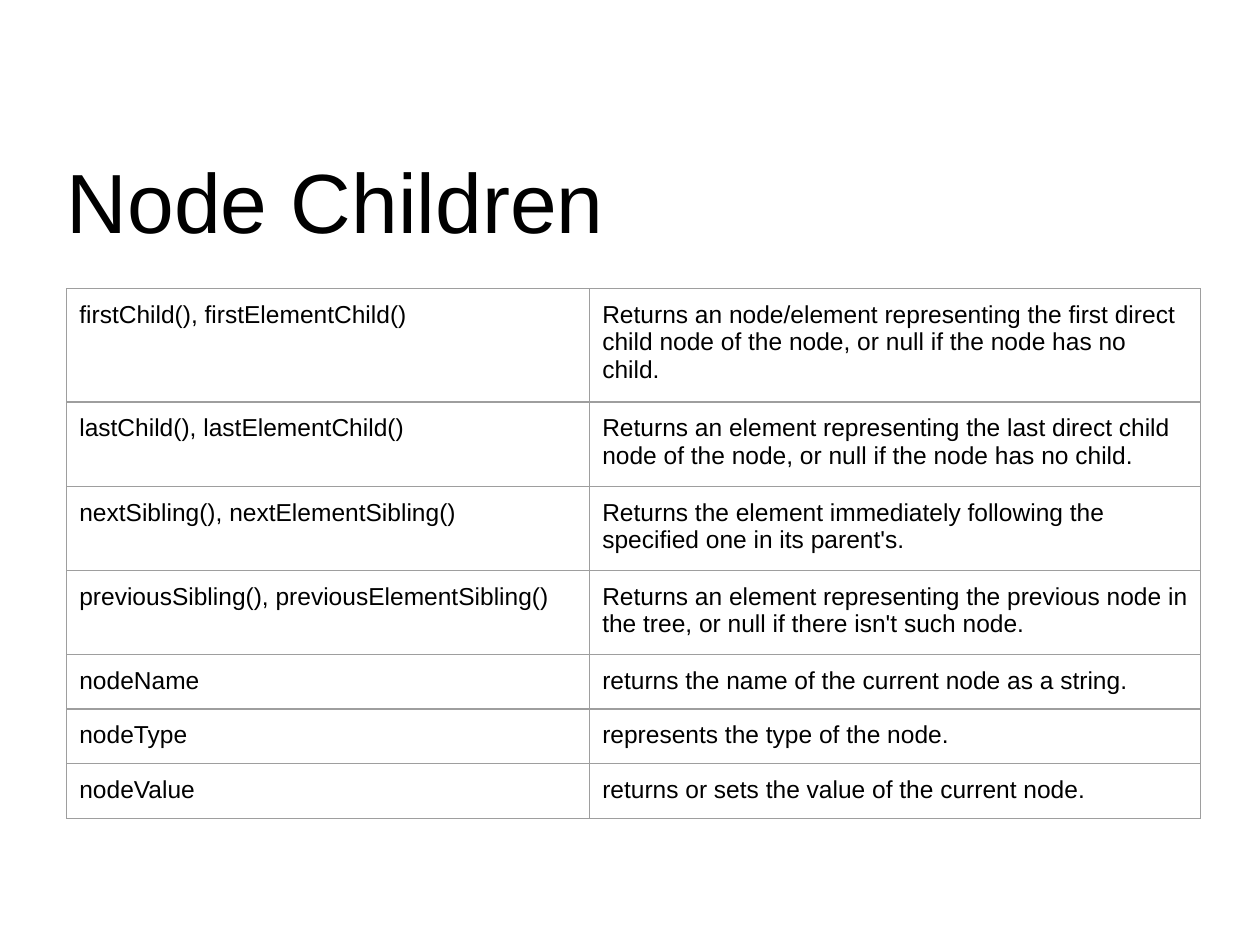
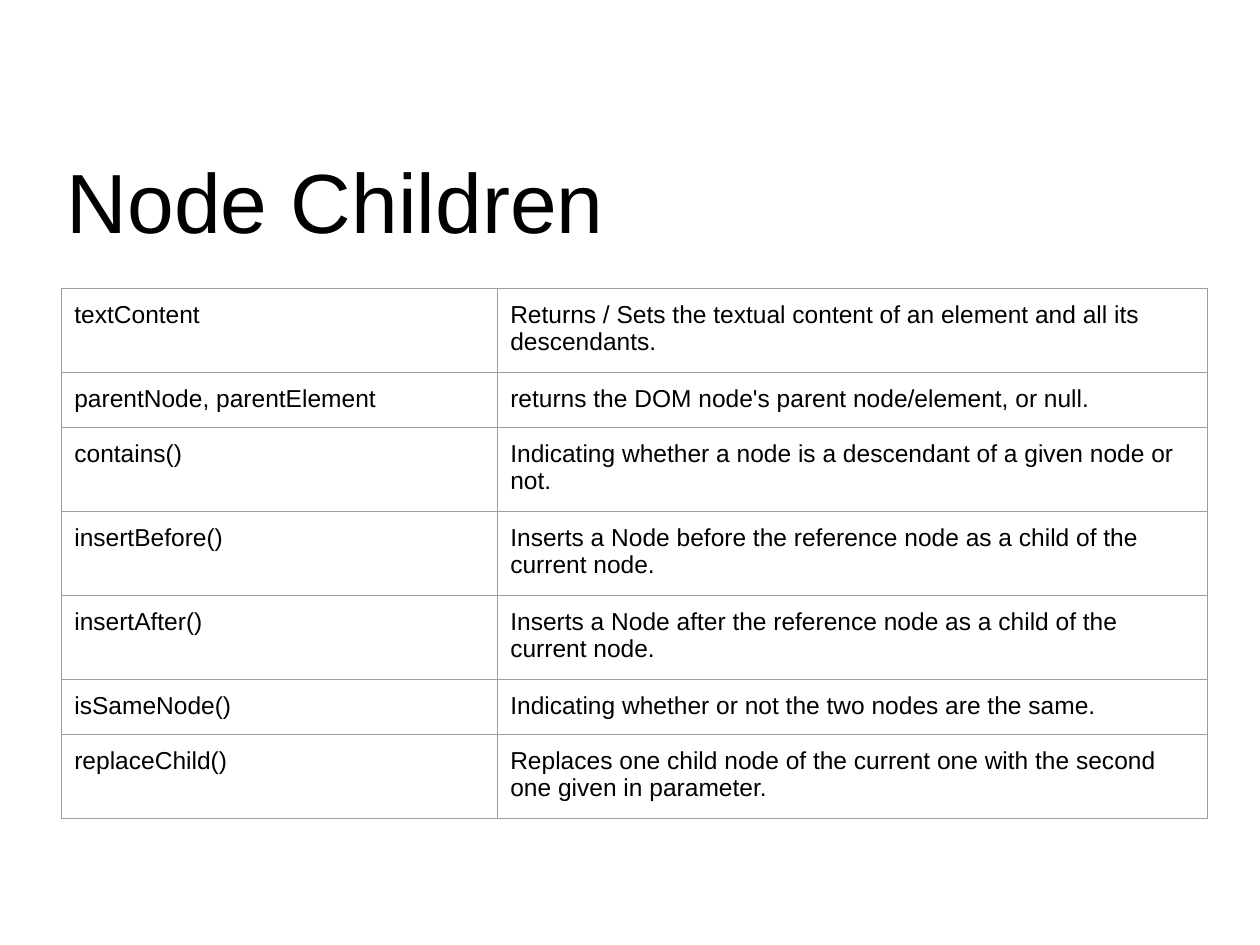
from dataclasses import dataclass

from lxml import etree
from pptx import Presentation
from pptx.dml.color import RGBColor
from pptx.enum.text import MSO_ANCHOR, MSO_AUTO_SIZE, PP_ALIGN
from pptx.oxml.ns import qn
from pptx.presentation import Presentation as Deck
from pptx.slide import Slide
from pptx.table import _Cell
from pptx.text.text import TextFrame
from pptx.util import Inches, Length, Pt

BLACK = RGBColor(0x00, 0x00, 0x00)
GREY = RGBColor(0x9E, 0x9E, 0x9E)
FONT = "Arial"
TITLE_SIZE = Pt(48)
CELL_SIZE = Pt(14)
BORDER_WIDTH = Pt(0.75)
INSET = Inches(0.1)
TABLE_TOP = Inches(2.29)
ROW_HEIGHT = Inches(0.42)
TITLE_ONLY = 5
TOP = MSO_ANCHOR.TOP
LEFT = PP_ALIGN.LEFT
GROW = MSO_AUTO_SIZE.SHAPE_TO_FIT_TEXT


@dataclass(frozen=True)
class MemberPage:
    """A slide listing DOM members beside what they do."""
    title: str
    table_left: Length
    column_widths: tuple[Length, Length]
    members: tuple[tuple[str, str], ...]


PAGES = (
    MemberPage(
        "Node Children", Inches(0.53), (Inches(4.15), Inches(4.85)),
        (
            ("firstChild(), firstElementChild()",
             "Returns an node/element representing the first direct child node "
             "of the node, or null if the node has no child."),
            ("lastChild(), lastElementChild()",
             "Returns an element representing the last direct child node of "
             "the node, or null if the node has no child."),
            ("nextSibling(), nextElementSibling()",
             "Returns the element immediately following the specified one in "
             "its parent's."),
            ("previousSibling(), previousElementSibling()",
             "Returns an element representing the previous node in the tree, "
             "or null if there isn't such node."),
            ("nodeName", "returns the name of the current node as a string."),
            ("nodeType", "represents the type of the node."),
            ("nodeValue", "returns or sets the value of the current node."),
        ),
    ),
    MemberPage(
        "Node Children", Inches(0.49), (Inches(3.46), Inches(5.63)),
        (
            ("textContent",
             "Returns / Sets the textual content of an element and all its "
             "descendants."),
            ("parentNode, parentElement",
             "returns the DOM node's parent node/element, or null."),
            ("contains()",
             "Indicating whether a node is a descendant of a given node or not."),
            ("insertBefore()",
             "Inserts a Node before the reference node as a child of the "
             "current node."),
            ("insertAfter()",
             "Inserts a Node after the reference node as a child of the "
             "current node."),
            ("isSameNode()",
             "Indicating whether or not the two nodes are the same."),
            ("replaceChild()",
             "Replaces one child node of the current one with the second one "
             "given in parameter."),
        ),
    ),
)


def write(frame: TextFrame, text: str, size: Length) -> None:
    """Put one left-aligned black paragraph into a frame."""
    frame.text = text
    paragraph = frame.paragraphs[0]
    paragraph.alignment = LEFT
    paragraph.font.name = FONT
    paragraph.font.size = size
    paragraph.font.color.rgb = BLACK


def add_title(slide: Slide, text: str) -> None:
    title = slide.shapes.title
    title.left, title.top = Inches(0.43), Inches(1.02)
    title.width, title.height = Inches(9.29), Inches(0.94)
    frame = title.text_frame
    frame.word_wrap = True
    frame.auto_size = GROW
    frame.vertical_anchor = TOP
    frame.margin_left = frame.margin_right = frame.margin_bottom = INSET
    frame.margin_top = Inches(0.17)
    write(frame, text, TITLE_SIZE)


def set_borders(cell: _Cell) -> None:
    """Draw a thin grey line on all four sides; lines precede the fill."""
    properties = cell._tc.get_or_add_tcPr()
    for position, side in enumerate(("lnL", "lnR", "lnT", "lnB")):
        line = etree.Element(qn(f"a:{side}"), w=str(int(BORDER_WIDTH)))
        fill = etree.SubElement(line, qn("a:solidFill"))
        etree.SubElement(fill, qn("a:srgbClr"), val=str(GREY))
        properties.insert(position, line)


def format_cell(cell: _Cell, text: str) -> None:
    write(cell.text_frame, text, CELL_SIZE)
    cell.margin_left = cell.margin_right = INSET
    cell.margin_top = cell.margin_bottom = INSET
    cell.vertical_anchor = TOP
    cell.fill.background()
    set_borders(cell)


def add_member_table(slide: Slide, page: MemberPage) -> None:
    row_count = len(page.members)
    table = slide.shapes.add_table(
        row_count, len(page.column_widths), page.table_left, TABLE_TOP,
        sum(page.column_widths), ROW_HEIGHT * row_count,
    ).table
    table.first_row = table.horz_banding = False
    for column, width in zip(table.columns, page.column_widths):
        column.width = width
    for row, member in zip(table.rows, page.members):
        row.height = ROW_HEIGHT
        for cell, text in zip(row.cells, member):
            format_cell(cell, text)


def add_page(deck: Deck, page: MemberPage) -> None:
    slide = deck.slides.add_slide(deck.slide_layouts[TITLE_ONLY])
    add_title(slide, page.title)
    add_member_table(slide, page)


def main() -> None:
    deck = Presentation()
    deck.slide_width, deck.slide_height = Inches(10), Inches(7.5)
    for page in PAGES:
        add_page(deck, page)
    deck.save("out.pptx")


if __name__ == "__main__":
    main()
